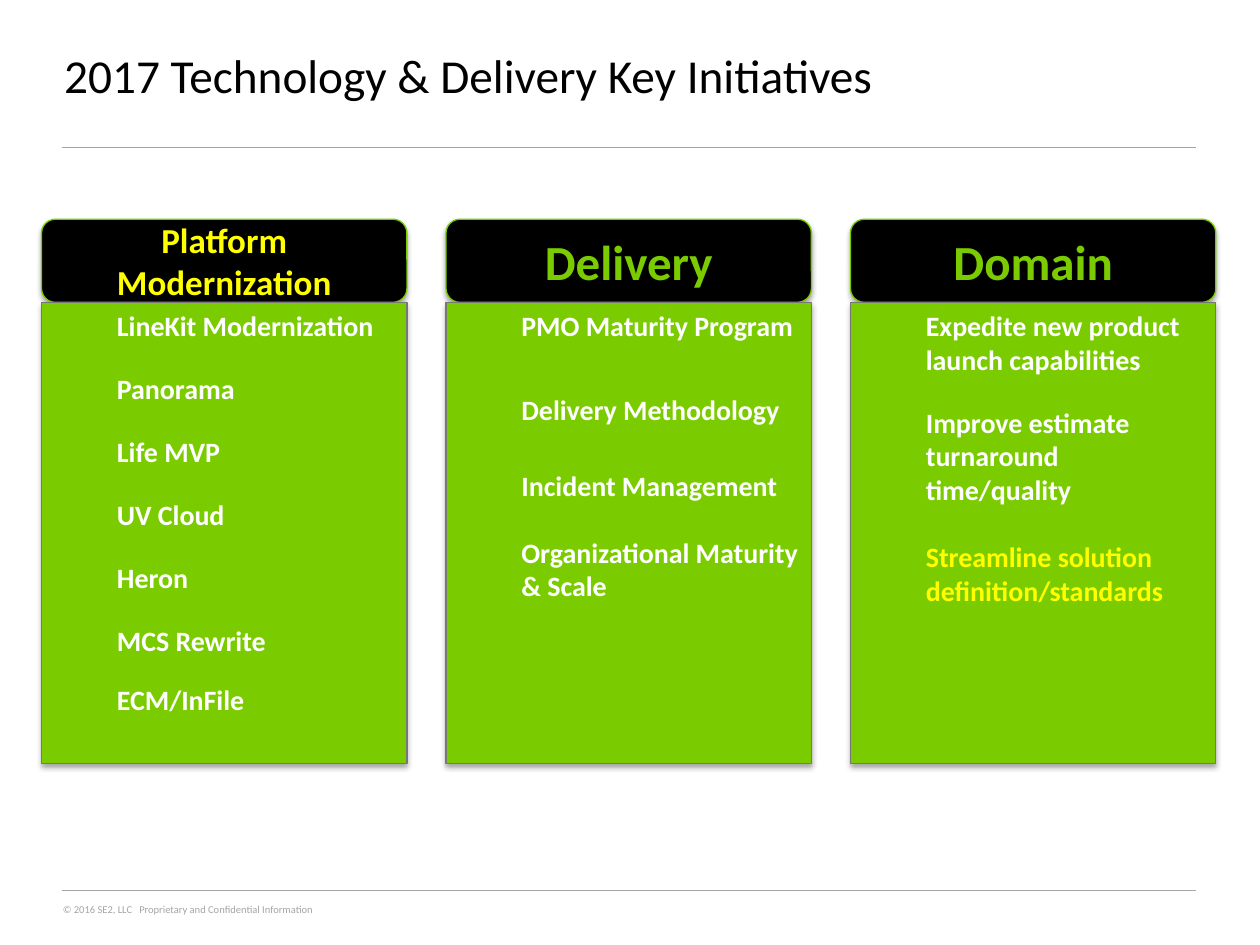
from lxml.etree import SubElement
from pptx import Presentation
from pptx.dml.color import RGBColor
from pptx.enum.shapes import MSO_CONNECTOR, MSO_SHAPE
from pptx.enum.text import MSO_ANCHOR, MSO_AUTO_SIZE, PP_ALIGN
from pptx.oxml.ns import qn
from pptx.util import Inches, Pt

BLACK = RGBColor(0x00, 0x00, 0x00)
WHITE = RGBColor(0xFF, 0xFF, 0xFF)
GREEN = RGBColor(0x7A, 0xCC, 0x00)
YELLOW = RGBColor(0xFF, 0xFF, 0x00)
GREY = RGBColor(0xA5, 0xA5, 0xA5)
EDGE = RGBColor(0x77, 0x77, 0x77)

WIDE, HIGH = Inches(10), Inches(7.5)
LEFT, TOP, STEP = Inches(0.33), Inches(1.74), Inches(3.21)
COL, HEAD, BODY = Inches(2.9), Inches(0.66), Inches(3.66)
LINE = 1.2

PILLARS = [
    ("Platform Modernization", 20, YELLOW, [
        ("LineKit Modernization", 0, WHITE),
        ("Panorama", 14, WHITE),
        ("Life MVP", 14, WHITE),
        ("UV Cloud", 14, WHITE),
        ("Heron", 14, WHITE),
        ("MCS Rewrite", 14, WHITE),
        ("ECM/InFile", 12, WHITE),
    ]),
    ("Delivery", 28, GREEN, [
        ("PMO Maturity Program", 0, WHITE),
        ("Delivery Methodology", 24, WHITE),
        ("Incident Management", 20, WHITE),
        ("Organizational Maturity & Scale", 16, WHITE),
    ]),
    ("Domain", 28, GREEN, [
        ("Expedite new product launch capabilities", 0, WHITE),
        ("Improve estimate turnaround time/quality", 14, WHITE),
        ("Streamline solution definition/standards", 16, YELLOW),
    ]),
]


def style(para, size, color, bold=False):
    font = para.font
    font.name, font.size, font.bold = "Calibri", Pt(size), bold
    font.color.rgb = color


def shade(shape):
    shape.shadow.inherit = False
    glow = SubElement(shape._element.spPr.find(qn("a:effectLst")), qn("a:outerShdw"),
                      blurRad=str(Pt(3.1)), dist=str(Pt(1.8)),
                      dir="5400000", rotWithShape="0")
    tint = SubElement(glow, qn("a:srgbClr"), val=str(BLACK))
    SubElement(tint, qn("a:alpha"), val="35000")


def add_box(group, kind, x, y, w, h, fill, edge):
    box = group.shapes.add_shape(kind, x, y, w, h)
    box.fill.solid()
    box.fill.fore_color.rgb = fill
    box.line.color.rgb = edge
    box.line.width = Pt(0.75)
    shade(box)
    box.text_frame.word_wrap = True
    return box.text_frame


def add_pillar(slide, x, y, w, name, size, color, items):
    group = slide.shapes.add_group_shape()
    head = add_box(group, MSO_SHAPE.ROUNDED_RECTANGLE, x, y, w, HEAD, BLACK, GREEN)
    head.vertical_anchor = MSO_ANCHOR.MIDDLE
    para = head.paragraphs[0]
    para.text, para.alignment = name, PP_ALIGN.CENTER
    style(para, size, color, True)

    body = add_box(group, MSO_SHAPE.RECTANGLE, x, y + HEAD, w, BODY, GREEN, EDGE)
    body.vertical_anchor = MSO_ANCHOR.TOP
    for i, (text, gap, tone) in enumerate(items):
        para = body.add_paragraph() if i else body.paragraphs[0]
        para.text, para.level, para.alignment = text, 1, PP_ALIGN.LEFT
        para._p.get_or_add_pPr().set("marL", str(Inches(0.5)))
        if gap:
            para.space_before = Pt(gap * LINE)
        style(para, 16, tone, True)


def add_rule(slide, x, y, w):
    rule = slide.shapes.add_connector(MSO_CONNECTOR.STRAIGHT, x, y, x + w, y)
    rule.line.color.rgb = GREY
    rule.line.width = Pt(0.75)
    SubElement(rule._element.spPr, qn("a:effectLst"))


def add_title(slide, x, y, w, h):
    title = slide.shapes.title
    title.left, title.top, title.width, title.height = x, y, w, h
    frame = title.text_frame
    frame.text = "2017 Technology & Delivery Key Initiatives"
    frame.auto_size = MSO_AUTO_SIZE.NONE
    frame.vertical_anchor = MSO_ANCHOR.TOP
    para = frame.paragraphs[0]
    para.alignment = PP_ALIGN.LEFT
    style(para, 27, BLACK)


def add_footer(slide, x, y, w, h):
    frame = slide.shapes.add_textbox(x, y, w, h).text_frame
    frame.word_wrap = True
    para = frame.paragraphs[0]
    para.text = "© 2016 SE2, LLC   Proprietary and Confidential Information"
    style(para, 6, GREY)


def main():
    deck = Presentation()
    deck.slide_width, deck.slide_height = WIDE, HIGH
    slide = deck.slides.add_slide(deck.slide_layouts[5])
    add_title(slide, Inches(0.41), Inches(0.32), Inches(8.04), Inches(0.73))
    for y in (1.17, 7.07):
        add_rule(slide, Inches(0.49), Inches(y), Inches(9))
    for i, pillar in enumerate(PILLARS):
        add_pillar(slide, LEFT + i * STEP, TOP, COL, *pillar)
    add_footer(slide, Inches(0.4), Inches(7.12), Inches(8), Inches(0.2))
    deck.save("out.pptx")


if __name__ == "__main__":
    main()
